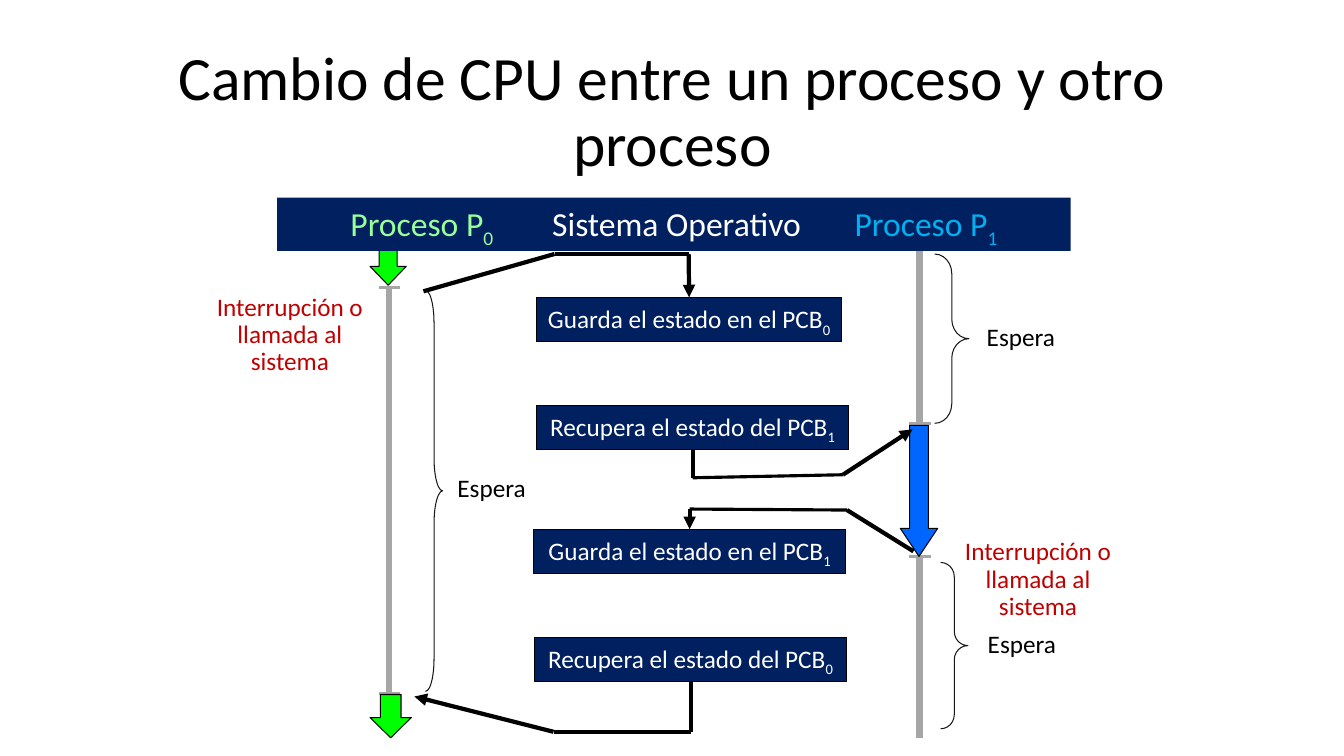
from lxml import etree
from pptx import Presentation
from pptx.dml.color import RGBColor
from pptx.enum.shapes import MSO_CONNECTOR, MSO_SHAPE
from pptx.enum.text import MSO_ANCHOR, MSO_AUTO_SIZE, PP_ALIGN
from pptx.oxml.ns import qn
from pptx.util import Inches, Pt

STRAIGHT = MSO_CONNECTOR.STRAIGHT
RECTANGLE = MSO_SHAPE.RECTANGLE
DOWN_ARROW = MSO_SHAPE.DOWN_ARROW
RIGHT_BRACE = MSO_SHAPE.RIGHT_BRACE
MIDDLE = MSO_ANCHOR.MIDDLE
CENTER = PP_ALIGN.CENTER
FIT_SHAPE = MSO_AUTO_SIZE.SHAPE_TO_FIT_TEXT

BLACK = RGBColor(0x00, 0x00, 0x00)
WHITE = RGBColor(0xFF, 0xFF, 0xFF)
NAVY = RGBColor(0x00, 0x20, 0x60)
GRAY = RGBColor(0xA6, 0xA6, 0xA6)
INK = RGBColor(0x18, 0x17, 0x17)
RED = RGBColor(0xC0, 0x00, 0x00)
GREEN = RGBColor(0x00, 0xFF, 0x00)
BLUE = RGBColor(0x00, 0x66, 0xFF)
PALE_GREEN = RGBColor(0x99, 0xFF, 0x99)
SKY = RGBColor(0x00, 0xB0, 0xF0)

TOP, BOTTOM = 0, 2


class ProcessSlide:
    font = "Calibri"
    body_size = 18

    def __init__(self, deck):
        self.slide = deck.slides.add_slide(deck.slide_layouts[5])
        self.shapes = self.slide.shapes

    def add_runs(self, frame, runs, size=body_size):
        """Fill a frame with (text, colour, is_subscript) runs."""
        paragraph = frame.paragraphs[0]
        paragraph.alignment = CENTER
        paragraph.line_spacing = 0.9
        for text, color, subscript in runs:
            run = paragraph.add_run()
            run.text = text
            run.font.name = self.font
            run.font.size = Pt(size)
            run.font.color.rgb = color
            if subscript:
                run._r.get_or_add_rPr().set("baseline", "-25000")

    def title(self, text, *box):
        heading = self.shapes.title
        heading.left, heading.top, heading.width, heading.height = map(Inches, box)
        heading.text_frame.vertical_anchor = MIDDLE
        self.add_runs(heading.text_frame, [(text, BLACK, False)], 44)

    def shape(self, kind, box, fill=None, outline=BLACK, adjustments=()):
        item = self.shapes.add_shape(kind, *map(Inches, box))
        item.shadow.inherit = False
        if fill is None:
            item.fill.background()
        else:
            item.fill.solid()
            item.fill.fore_color.rgb = fill
        if outline is None:
            item.line.fill.background()
        else:
            item.line.color.rgb = outline
            item.line.width = Pt(0.75)
        for index, value in enumerate(adjustments):
            item.adjustments[index] = value
        return item

    def block(self, box, runs, size=body_size, outline=BLACK):
        item = self.shape(RECTANGLE, box, NAVY, outline)
        item.text_frame.word_wrap = False
        item.text_frame.vertical_anchor = MIDDLE
        self.add_runs(item.text_frame, runs, size)
        return item

    def label(self, text, box, color=BLACK, wrap=False):
        frame = self.shapes.add_textbox(*map(Inches, box)).text_frame
        frame.word_wrap = wrap
        frame.auto_size = FIT_SHAPE
        self.add_runs(frame, [(text, color, False)])

    def line(self, start, end, color=BLACK, width=3, arrow=False):
        item = self.shapes.add_connector(STRAIGHT, *map(Inches, (*start, *end)))
        item.line.color.rgb = color
        item.line.width = Pt(width)
        properties = item._element.spPr
        if arrow:
            etree.SubElement(properties.get_or_add_ln(), qn("a:tailEnd"), type="triangle")
        etree.SubElement(properties, qn("a:effectLst"))
        return item

    def route(self, points, widths):
        """Draw a bent path whose last segment has an arrowhead."""
        last = len(widths) - 1
        return [
            self.line(start, end, width=width, arrow=index == last)
            for index, (start, end, width) in enumerate(zip(points, points[1:], widths))
        ]


def main():
    deck = Presentation()
    deck.slide_width, deck.slide_height = Inches(13.33), Inches(7.5)
    page = ProcessSlide(deck)
    page.title("Cambio de CPU entre un proceso y otro proceso", 0.92, 0.4, 11.5, 1.45)

    # Process timelines and their end ticks
    p0_x, p1_x = 3.86, 9.12
    for x, top, bottom in ((p1_x, 2.34, 4.22), (p1_x, 5.51, 7.32), (p0_x, 2.86, 6.89)):
        page.line((x, top), (x, bottom), GRAY, 4.5)
    for x, y in ((p1_x, 5.52), (p1_x, 4.2), (p0_x, 6.88), (p0_x, 2.85)):
        page.line((x - 0.1, y), (x + 0.11, y), GRAY, 2.25)

    # Running periods
    for box, color, head in (
        ((8.93, 4.22, 0.37, 1.3), BLUE, 0.75),
        ((3.67, 2.47, 0.36, 0.36), GREEN, 0.52),
        ((3.67, 6.89, 0.41, 0.43), GREEN, 0.49),
    ):
        page.shape(DOWN_ARROW, box, color, adjustments=(0.5, head))

    # Waiting periods
    for brace, curve, espera in (
        ((4.22, 2.88, 0.17, 3.98), 1.91, (4.43, 4.67)),
        ((9.27, 2.52, 0.34, 1.68), 0.57, (9.68, 3.17)),
        ((9.33, 5.58, 0.27, 1.65), 0.52, (9.69, 6.22)),
    ):
        page.shape(RIGHT_BRACE, brace, outline=INK, adjustments=(curve, 0.5))
        page.label("Espera", (*espera, 0.89, 0.37))

    # Operating system steps
    save_p0, load_p1, save_p1, load_p0 = (
        page.block((x, y, width, 0.44), [(text, WHITE, False), (number, WHITE, True)])
        for x, y, width, text, number in (
            (5.32, 2.95, 3.03, "Guarda el estado en el PCB", "0"),
            (5.32, 4.02, 3.1, "Recupera el estado del PCB", "1"),
            (5.29, 5.25, 3.1, "Guarda el estado en el PCB", "1"),
            (5.3, 6.32, 3.1, "Recupera el estado del PCB", "0"),
        )
    )

    # Control transfers between the processes and the system
    interrupt_p0 = page.route([(4.2, 2.89), (5.5, 2.52), (6.83, 2.52), (6.83, 2.95)], (3, 3, 3))
    interrupt_p0[-1].end_connect(save_p0, TOP)
    resume_p1 = page.route([(6.87, 4.46), (6.87, 4.74), (8.36, 4.71), (9.05, 4.26)], (3, 2.25, 3))
    resume_p1[0].begin_connect(load_p1, BOTTOM)
    interrupt_p1 = page.route([(9.06, 5.47), (8.4, 5.06), (6.84, 5.05), (6.84, 5.25)], (3, 2.25, 3))
    interrupt_p1[-1].end_connect(save_p1, TOP)
    resume_p0 = page.route([(6.85, 6.76), (6.85, 7.26), (5.49, 7.26), (4.11, 6.91)], (3, 3, 3))
    resume_p0[0].begin_connect(load_p0, BOTTOM)

    for box in ((2.04, 2.87, 1.67, 0.92), (9.27, 5.3, 2.05, 0.92)):
        page.label("Interrupción o llamada al sistema", box, RED, wrap=True)

    page.block(
        (2.75, 1.96, 7.87, 0.53),
        [
            ("Proceso P", PALE_GREEN, False),
            ("0\t\t", PALE_GREEN, True),
            ("Sistema Operativo\t\t", WHITE, False),
            ("Proceso P", SKY, False),
            ("1", SKY, True),
        ],
        size=24,
        outline=None,
    )
    deck.save("out.pptx")


if __name__ == "__main__":
    main()
